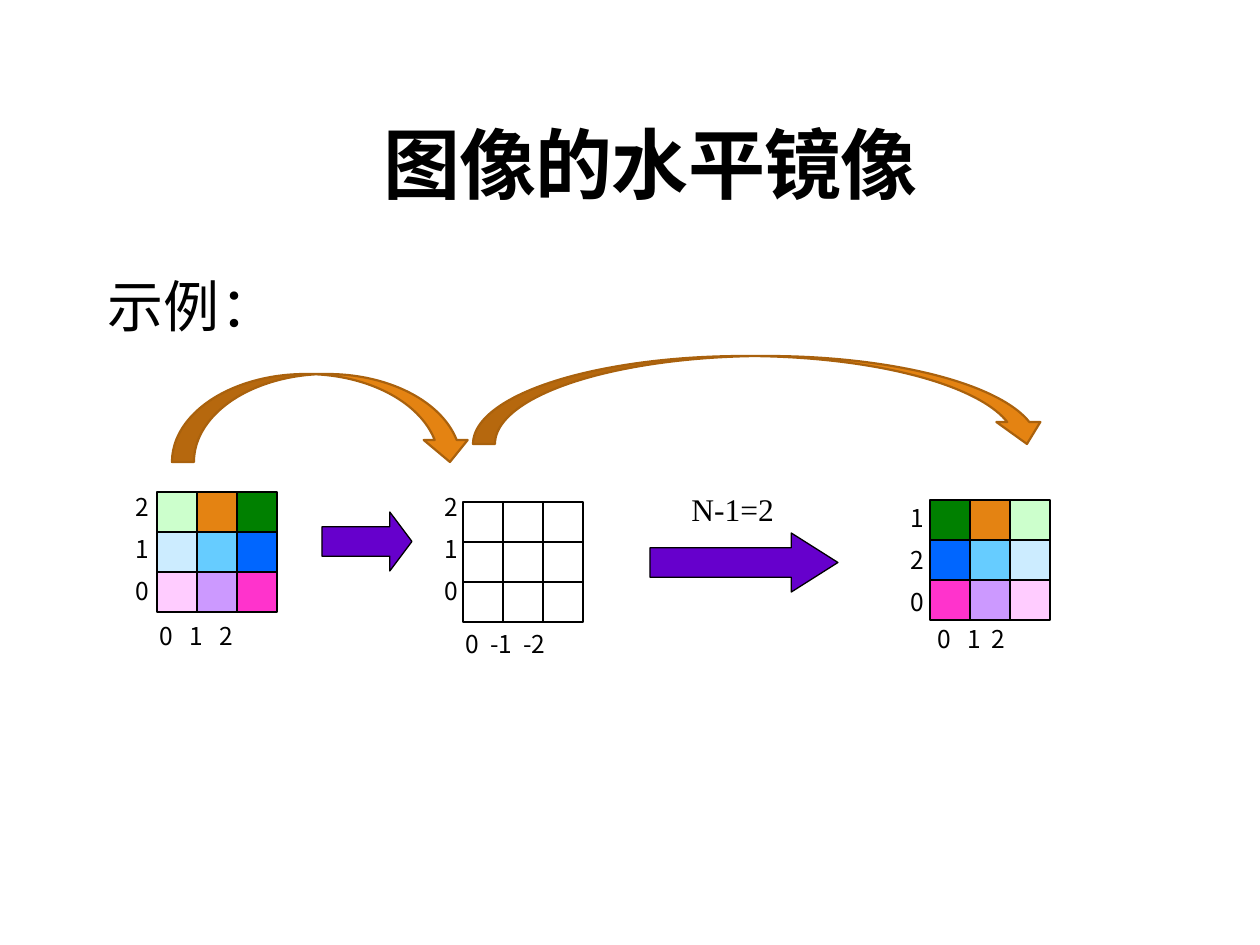
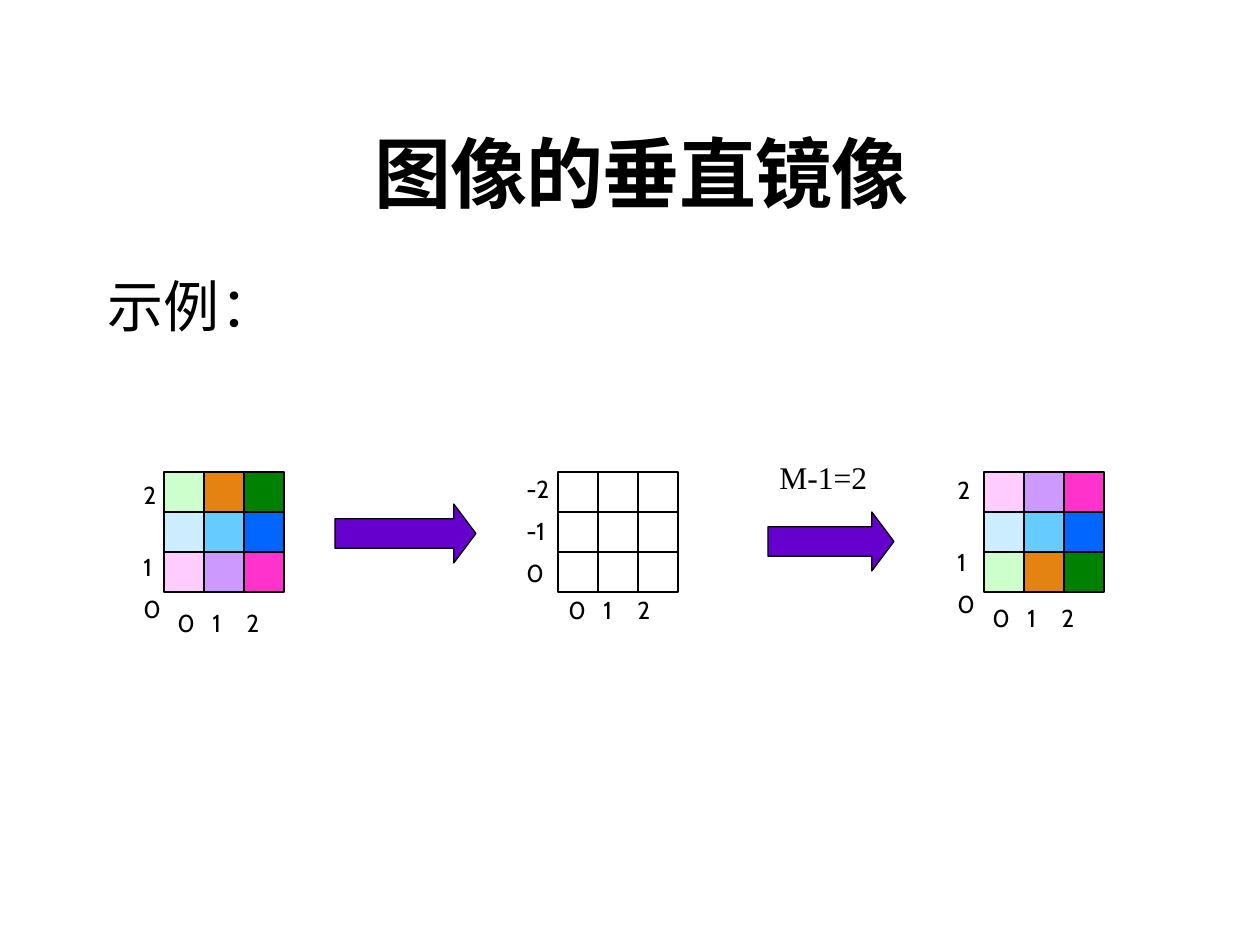
"""Build two slides that show horizontal and vertical mirroring of a 3 by 3 image."""
import dataclasses

import pptx
import pptx.dml.color
import pptx.enum.shapes
import pptx.enum.text
import pptx.oxml
import pptx.oxml.ns
import pptx.util

SHAPE = pptx.enum.shapes.MSO_SHAPE
EMU_PER_PX = 914400 / 126
CELL = 40


@dataclasses.dataclass(frozen=True)
class Theme:
    ink: str = "000000"
    arrow: str = "6600CC"
    curve: str = "E48312"
    curve_line: str = "A9610D"
    heading_font: str = "Calibri"
    formula_font: str = "Times New Roman"
    title_size: int = 44
    body_size: int = 32
    formula_size: int = 18
    label_size: int = 14
    label_line: int = 18
    thin: float = 0.75
    thick: float = 1.25


THEME = Theme()

PIXELS = [
    ["CCFFCC", "E48312", "008000"],
    ["CCECFF", "66CCFF", "0066FF"],
    ["FFCCFF", "CC99FF", "FF33CC"],
]
BLANK = [["FFFFFF"] * 3] * 3
LEFT_TO_RIGHT = [row[::-1] for row in PIXELS]
TOP_TO_BOTTOM = PIXELS[::-1]

EXAMPLE = {"text": "示例：", "box": (95, 273, 526, 567)}

SLIDES = [
    {
        "title": "图像的水平镜像",
        "title_box": (115, 58, 1071, 158),
        "label_font": "Noto Sans CJK SC",
        "grids": [
            {"at": (157, 492), "colors": PIXELS,
             "columns": "0\t1\t2", "columns_box": (147, 613, 169, 42), "tabs": (30, 60),
             "rows": "210", "rows_box": (123, 484, 59, 131), "gaps": (0, 6, 6)},
            {"at": (463, 502), "colors": BLANK,
             "columns": "0\t-1\t-2", "columns_box": (453, 621, 169, 42), "tabs": (25, 58),
             "rows": "210", "rows_box": (432, 484, 59, 131), "gaps": (0, 6, 6)},
            {"at": (930, 500), "colors": LEFT_TO_RIGHT,
             "columns": "0\t1\t2", "columns_box": (925, 616, 142, 42), "tabs": (30, 54),
             "rows": "120", "rows_box": (898, 495, 59, 131), "gaps": (0, 6, 6)},
        ],
        "arrows": [((322, 512, 90, 59), 0.375), ((650, 533, 188, 59), 0.79)],
        "formula": ("N-1=2", (679, 484, 110, 50)),
        "curves": [(717, 112, 88, 576), (278, 268, 88, 300)],
    },
    {
        "title": "图像的垂直镜像",
        "title_box": (106, 67, 1071, 158),
        "label_font": "Cabin",
        "grids": [
            {"at": (164, 472), "colors": PIXELS,
             "columns": "0\t1\t2", "columns_box": (165, 600, 169, 42), "tabs": (35, 69),
             "rows": "210", "rows_box": (131, 472, 44, 131), "gaps": (0, 23, 6)},
            {"at": (558, 472), "colors": BLANK,
             "columns": "0\t1\t2", "columns_box": (556, 587, 169, 42), "tabs": (35, 69),
             "rows": ("-2", "-1", "0"), "rows_box": (514, 466, 69, 131), "gaps": (0, 6, 6)},
            {"at": (984, 472), "colors": TOP_TO_BOTTOM,
             "columns": "0\t1\t2", "columns_box": (980, 595, 144, 42), "tabs": (35, 69),
             "rows": "210", "rows_box": (945, 467, 44, 131), "gaps": (0, 23, 6)},
        ],
        "arrows": [((335, 504, 141, 59), 0.375), ((768, 512, 126, 59), 0.375)],
        "formula": ("M-1=2", (767, 452, 141, 50)),
        "curves": [],
    },
]


def px(value):
    return pptx.util.Emu(round(value * EMU_PER_PX))


def rgb(value):
    return pptx.dml.color.RGBColor.from_string(value)


def add_tabs(paragraph, stops):
    properties = paragraph._p.get_or_add_pPr()
    tab_list = pptx.oxml.parse_xml(f"<a:tabLst {pptx.oxml.ns.nsdecls('a')}/>")
    for stop in stops:
        tab = tab_list.makeelement(pptx.oxml.ns.qn("a:tab"), {"pos": str(px(stop)), "algn": "l"})
        tab_list.append(tab)
    properties.append(tab_list)


def write(paragraph, text, *, font, size, bold=False, spacing=None, line=None,
          before=0, align=None, tabs=()):
    if tabs:
        add_tabs(paragraph, tabs)
    paragraph.space_before = pptx.util.Pt(before)
    paragraph.line_spacing = line
    paragraph.alignment = align
    run = paragraph.add_run()
    run.text = text
    run.font.name = font
    run.font.size = pptx.util.Pt(size)
    run.font.bold = bold
    run.font.color.rgb = rgb(THEME.ink)
    properties = run.font._element
    latin = properties.find(pptx.oxml.ns.qn("a:latin"))
    latin.addnext(properties.makeelement(pptx.oxml.ns.qn("a:ea"), {"typeface": font}))
    if spacing is not None:
        properties.set("spc", str(spacing))


def add_text(shapes, box, lines, *, gaps=(0,), left_inset=None, **text_format):
    frame = shapes.add_textbox(*map(px, box)).text_frame
    frame.word_wrap = True
    if left_inset is not None:
        frame.margin_left = px(left_inset)
    for index, (text, gap) in enumerate(zip(lines, gaps)):
        paragraph = frame.add_paragraph() if index else frame.paragraphs[0]
        write(paragraph, text, before=gap, **text_format)


def add_shape(shapes, kind, box, fill, line, width):
    shape = shapes.add_shape(kind, *map(px, box))
    shape.shadow.inherit = False
    shape.fill.solid()
    shape.fill.fore_color.rgb = rgb(fill)
    shape.line.color.rgb = rgb(line)
    shape.line.width = pptx.util.Pt(width)
    return shape


def add_title(slide, text, box):
    title = slide.shapes.title
    title.left, title.top, title.width, title.height = map(px, box)
    frame = title.text_frame
    frame.auto_size = pptx.enum.text.MSO_AUTO_SIZE.NONE
    frame.vertical_anchor = pptx.enum.text.MSO_ANCHOR.BOTTOM
    write(frame.paragraphs[0], text, font=THEME.heading_font, size=THEME.title_size, bold=True,
          spacing=-50, line=0.85, align=pptx.enum.text.PP_ALIGN.CENTER)


def add_grid(slide, grid, font):
    shapes = slide.shapes.add_group_shape().shapes
    left, top = grid["at"]
    for row, colors in enumerate(grid["colors"]):
        for column, color in enumerate(colors):
            box = (left + column * CELL, top + row * CELL, CELL, CELL)
            add_shape(shapes, SHAPE.RECTANGLE, box, color, THEME.ink, THEME.thin)
    label = {"font": font, "size": THEME.label_size, "line": pptx.util.Pt(THEME.label_line)}
    add_text(shapes, grid["columns_box"], [grid["columns"]], tabs=grid["tabs"], **label)
    add_text(shapes, grid["rows_box"], grid["rows"], gaps=grid["gaps"], **label)


def add_slide(presentation, content):
    slide = presentation.slides.add_slide(presentation.slide_layouts[5])
    add_title(slide, content["title"], content["title_box"])
    add_text(slide.shapes, EXAMPLE["box"], [EXAMPLE["text"]], left_inset=13,
             font=THEME.heading_font, size=THEME.body_size, line=0.9)
    for grid in content["grids"]:
        add_grid(slide, grid, content["label_font"])
    for box, head in content["arrows"]:
        arrow = add_shape(slide.shapes, SHAPE.RIGHT_ARROW, box, THEME.arrow, THEME.ink, THEME.thin)
        arrow.adjustments[1] = head
    formula, box = content["formula"]
    add_text(slide.shapes, box, [formula], font=THEME.formula_font, size=THEME.formula_size)
    for box in content["curves"]:
        curve = add_shape(slide.shapes, SHAPE.CURVED_LEFT_ARROW, box,
                          THEME.curve, THEME.curve_line, THEME.thick)
        curve.rotation = 270


def main():
    presentation = pptx.Presentation()
    presentation.slide_width = pptx.util.Inches(10)
    presentation.slide_height = pptx.util.Inches(7.5)
    for content in SLIDES:
        add_slide(presentation, content)
    presentation.save("out.pptx")


if __name__ == "__main__":
    main()
